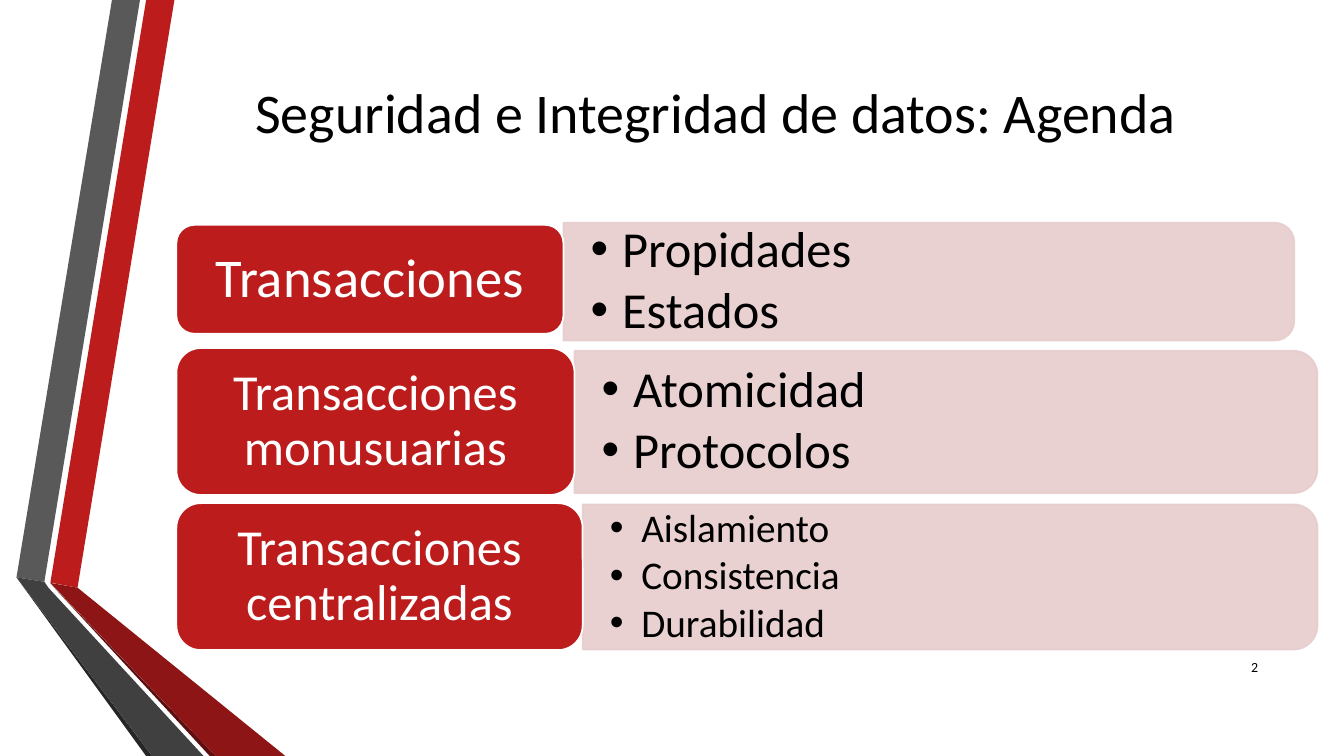
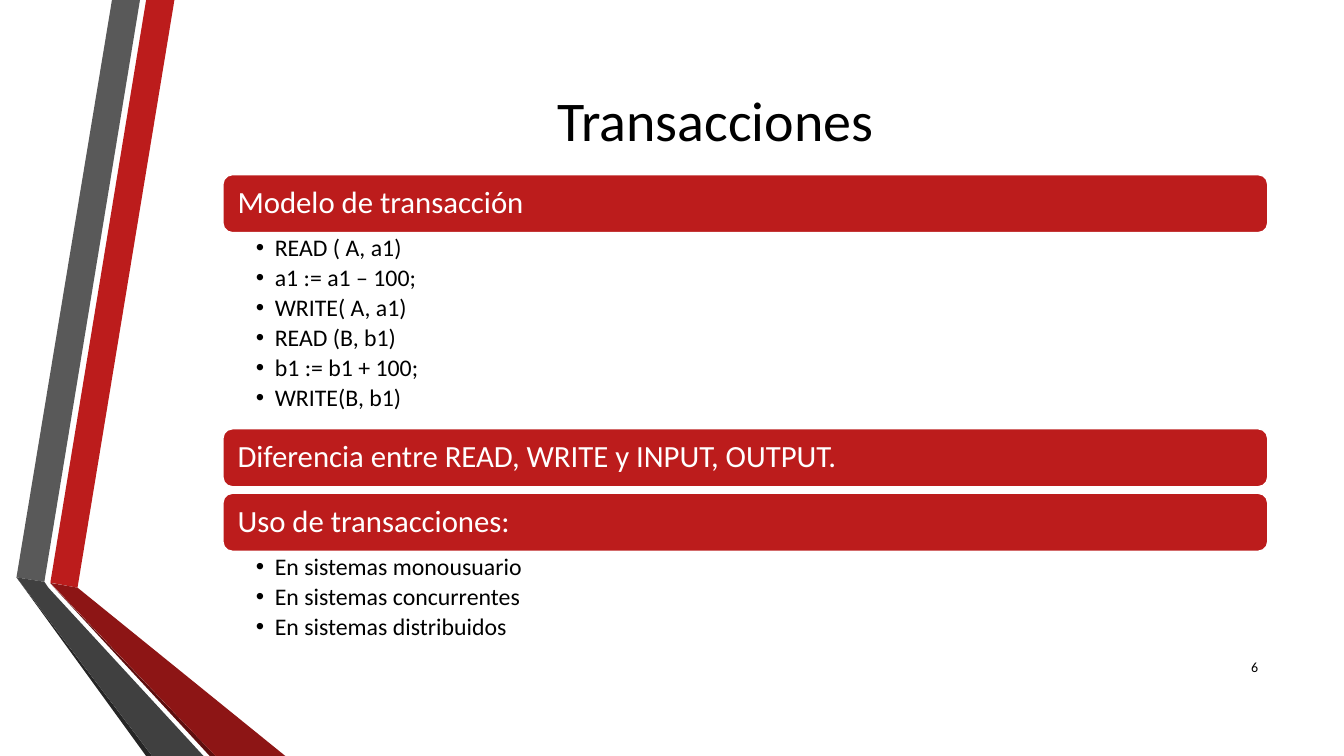
from lxml.etree import SubElement
from pptx import Presentation
from pptx.dml.color import RGBColor
from pptx.enum.shapes import MSO_SHAPE
from pptx.enum.text import MSO_ANCHOR, PP_ALIGN
from pptx.oxml.ns import qn
from pptx.util import Pt

FONT = "Calibri"
COLORS = {
    "red": "BC1C1C", "dark_red": "8D1515", "deep_red": "5E0E0E",
    "gray": "595959", "dark_gray": "404040", "deep_gray": "262626",
    "pink": "E7CDCD", "white": "FFFFFF", "black": "000000",
}
RIBBONS = [
    ("red", [(36, 416.2), (55.4, 419.8), (124.6, 0), (104.4, 0)]),
    ("gray", [(100, 0), (80, 0), (11.8, 412.4), (31.7, 415.6)]),
    ("deep_gray", [(11.8, 412.4), (104.4, 540), (108.7, 540)]),
    ("deep_red", [(36, 416.8), (149.8, 540), (154, 540)]),
    ("dark_red", [(36, 416.4), (154, 540), (203.8, 540), (55.4, 419.8)]),
    ("dark_gray", [(145.4, 540), (34.6, 419.8), (31.7, 415.6), (11.8, 412.4), (108.7, 540)]),
]
AGENDA = {
    "title": "Seguridad e Integridad de datos: Agenda", "title_top": 10, "number": "2",
    "rows": [
        {"label": "Transacciones", "size": 39, "card": (160.6, 276.5, 77.8),
         "panel": (159.1, 522, 84.2), "bullets": ["Propidades", "Estados"], "bullet_size": 36},
        {"label": "Transacciones monusuarias", "size": 36, "card": (248.6, 284.4, 105),
         "panel": (250.6, 530.6, 101.5), "bullets": ["Atomicidad", "Protocolos"], "bullet_size": 36},
        {"label": "Transacciones centralizadas", "size": 36, "card": (359.4, 290.2, 105),
         "panel": (360.3, 524.9, 103.7),
         "bullets": ["Aislamiento", "Consistencia", "Durabilidad"], "bullet_size": 28},
    ],
}
MODEL = {
    "title": "Transacciones", "title_top": 15.8, "number": "6",
    "sections": [
        ("Modelo de transacción", ["READ ( A, a1)", "a1 := a1 – 100;", "WRITE( A, a1)",
                                   "READ (B, b1)", "b1 := b1 + 100;", "WRITE(B, b1)"]),
        ("Diferencia entre READ, WRITE y INPUT, OUTPUT.", []),
        ("Uso de transacciones:", ["En sistemas monousuario", "En sistemas concurrentes",
                                   "En sistemas distribuidos"]),
    ],
}
CARD_LEFT = 126
SECTION_LEFT, SECTION_TOP, SECTION_WIDTH = 159.1, 124.6, 746.6
HEADING_HEIGHT, HEADING_GAP, BULLET_PITCH = 41.7, 4.4, 23.3


def paint(shape, fill, line=None, alpha=None):
    shape.shadow.inherit = False
    shape.fill.solid()
    shape.fill.fore_color.rgb = RGBColor.from_string(COLORS[fill])
    if line:
        shape.line.color.rgb = RGBColor.from_string(COLORS[line])
        shape.line.width = Pt(1.25)
    else:
        shape.line.fill.background()
    if alpha:
        for color in shape.element.spPr.iter(qn("a:srgbClr")):
            SubElement(color, qn("a:alpha"), val=str(alpha * 1000))


def write(shape, lines, size, color="black", align=PP_ALIGN.LEFT, anchor=MSO_ANCHOR.MIDDLE,
          insets=(7.2, 3.6), spacing=None, after=0, indent=0):
    frame = shape.text_frame
    frame.word_wrap = True
    frame.vertical_anchor = anchor
    frame.margin_left = frame.margin_right = Pt(insets[0])
    frame.margin_top = frame.margin_bottom = Pt(insets[1])
    frame.text = "\n".join(lines)
    for para in frame.paragraphs:
        para.alignment = align
        para.line_spacing = spacing
        para.space_after = Pt(after)
        if indent:
            properties = para._p.get_or_add_pPr()
            properties.set("marL", str(Pt(indent)))
            properties.set("indent", str(-Pt(indent)))
            SubElement(properties, qn("a:buFont"), typeface="Arial")
            SubElement(properties, qn("a:buChar"), char="•")
        for span in para.runs:
            span.font.name = FONT
            span.font.size = Pt(size)
            span.font.color.rgb = RGBColor.from_string(COLORS[color])


def add_text(page, left, top, width, height, lines, size, **style):
    box = page.shapes.add_textbox(Pt(left), Pt(top), Pt(width), Pt(height))
    write(box, lines, size, **style)


def add_card(page, left, top, width, height, label, size, **style):
    card = page.shapes.add_shape(MSO_SHAPE.ROUNDED_RECTANGLE, Pt(left), Pt(top), Pt(width), Pt(height))
    paint(card, "red", "white")
    write(card, [label], size, color="white", spacing=0.9, **style)


def add_panel(page, left, top, width, height):
    panel = page.shapes.add_shape(
        MSO_SHAPE.ROUND_2_SAME_RECTANGLE, Pt(left + (width - height) / 2),
        Pt(top + (height - width) / 2), Pt(height), Pt(width))
    panel.rotation = 90
    paint(panel, "pink", "pink", 90)


def add_page(deck, content):
    page = deck.slides.add_slide(deck.slide_layouts[6])
    for color, points in RIBBONS:
        corners = [(Pt(x), Pt(y)) for x, y in points]
        builder = page.shapes.build_freeform(*corners[0])
        builder.add_line_segments(corners[1:], close=True)
        paint(builder.convert_to_shape(), color)
    add_text(page, 116.6, content["title_top"], 789.1, 138.2, [content["title"]], 40,
             align=PP_ALIGN.CENTER)
    add_text(page, 862.6, 462.2, 43.2, 28.8, [content["number"]], 10, align=PP_ALIGN.RIGHT)
    return page


def build_agenda(deck):
    page = add_page(deck, AGENDA)
    for row in AGENDA["rows"]:
        card_top, card_width, card_height = row["card"]
        panel_top, panel_width, panel_height = row["panel"]
        area = (CARD_LEFT + card_width, panel_top, panel_width, panel_height)
        add_panel(page, *area)
        add_text(page, *area, row["bullets"], row["bullet_size"], insets=(19.4, 0),
                 spacing=0.9, after=row["bullet_size"] * 0.13, indent=22.5)
        add_card(page, CARD_LEFT, card_top, card_width, card_height, row["label"], row["size"],
                 align=PP_ALIGN.CENTER, insets=(15.5, 9))


def build_model(deck):
    page = add_page(deck, MODEL)
    top = SECTION_TOP
    for heading, bullets in MODEL["sections"]:
        add_card(page, SECTION_LEFT, top, SECTION_WIDTH, HEADING_HEIGHT, heading, 22, insets=(8.6, 8.6))
        top += HEADING_HEIGHT
        if bullets:
            height = BULLET_PITCH * len(bullets)
            add_text(page, SECTION_LEFT, top, SECTION_WIDTH, height, bullets, 17,
                     anchor=MSO_ANCHOR.TOP, insets=(23.7, 2.2), spacing=0.9, after=3.1, indent=13.5)
            top += height
        else:
            top += HEADING_GAP


def main():
    deck = Presentation()
    deck.slide_width, deck.slide_height = Pt(960), Pt(540)
    build_agenda(deck)
    build_model(deck)
    deck.save("out.pptx")


if __name__ == "__main__":
    main()
